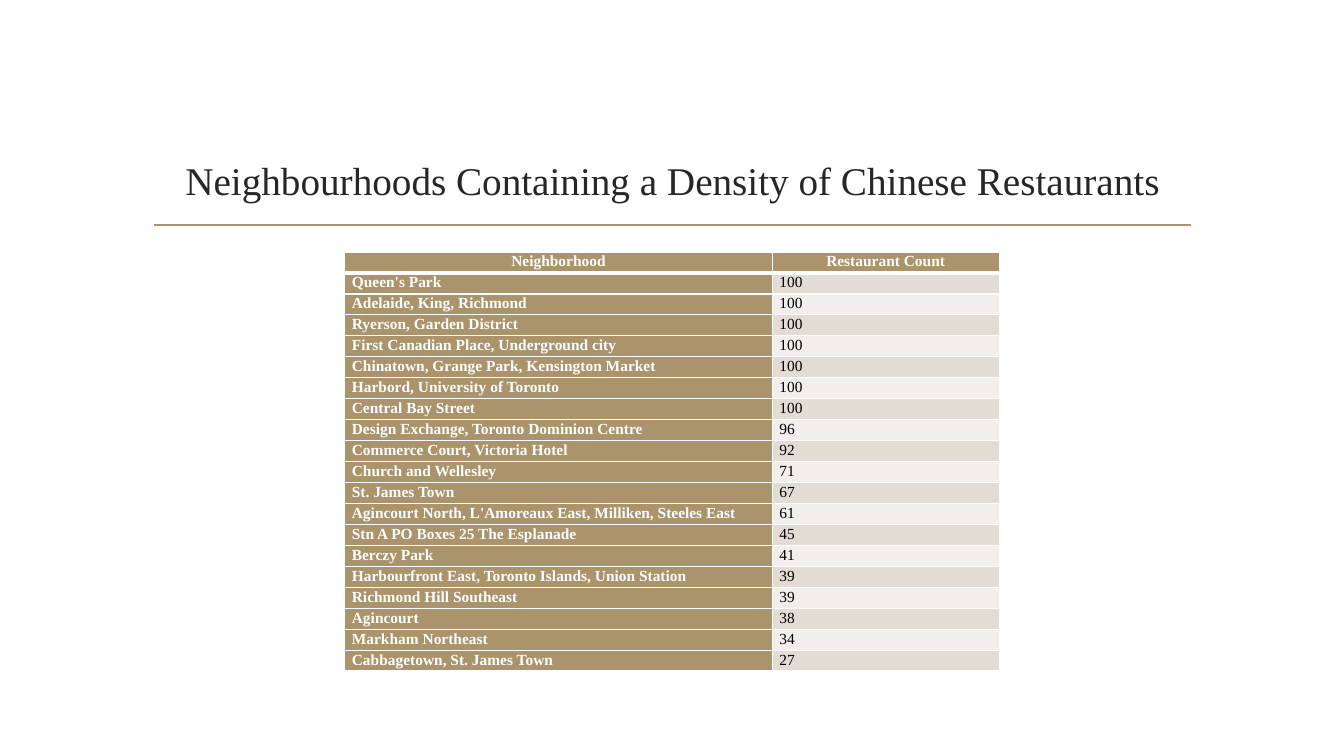
from lxml import etree
from pptx import Presentation
from pptx.dml.color import RGBColor
from pptx.enum.shapes import MSO_CONNECTOR
from pptx.enum.text import MSO_ANCHOR, MSO_AUTO_SIZE, PP_ALIGN
from pptx.oxml.ns import qn
from pptx.util import Emu, Pt

STRAIGHT = MSO_CONNECTOR.STRAIGHT
MIDDLE, TOP = MSO_ANCHOR.MIDDLE, MSO_ANCHOR.TOP
NO_AUTOFIT = MSO_AUTO_SIZE.NONE
LEFT, CENTER = PP_ALIGN.LEFT, PP_ALIGN.CENTER

TAN = RGBColor(0xAB, 0x94, 0x6B)
BAND_DARK = RGBColor(0xE2, 0xDC, 0xD4)
BAND_LIGHT = RGBColor(0xF1, 0xEE, 0xEB)
INK = RGBColor(0x26, 0x26, 0x26)
BLACK = RGBColor(0, 0, 0)
WHITE = RGBColor(0xFF, 0xFF, 0xFF)

PX = 9144
FONT = "Times New Roman"
TITLE_ONLY = 5

HEADER = ("Neighborhood", "Restaurant Count")
COUNTS = [
    ("Queen's Park", 100),
    ("Adelaide, King, Richmond", 100),
    ("Ryerson, Garden District", 100),
    ("First Canadian Place, Underground city", 100),
    ("Chinatown, Grange Park, Kensington Market", 100),
    ("Harbord, University of Toronto", 100),
    ("Central Bay Street", 100),
    ("Design Exchange, Toronto Dominion Centre", 96),
    ("Commerce Court, Victoria Hotel", 92),
    ("Church and Wellesley", 71),
    ("St. James Town", 67),
    ("Agincourt North, L'Amoreaux East, Milliken, Steeles East", 61),
    ("Stn A PO Boxes 25 The Esplanade", 45),
    ("Berczy Park", 41),
    ("Harbourfront East, Toronto Islands, Union Station", 39),
    ("Richmond Hill Southeast", 39),
    ("Agincourt", 38),
    ("Markham Northeast", 34),
    ("Cabbagetown, St. James Town", 27),
]


def px(n):
    return Emu(round(n * PX))


class Deck:
    """Holds the presentation, its font and the current slide."""

    def __init__(self, width, height):
        self.prs = Presentation()
        self.prs.slide_width, self.prs.slide_height = px(width), px(height)
        self.s = self.prs.slides.add_slide(self.prs.slide_layouts[TITLE_ONLY])

    def run(self, p, text, size, color, bold=False):
        r = p.add_run()
        r.text = text
        r.font.name, r.font.size, r.font.bold = FONT, Pt(size), bold
        r.font.color.rgb = color

    def title(self, text, x, y, w, h):
        sp = self.s.shapes.title
        sp.left, sp.top, sp.width, sp.height = map(px, (x, y, w, h))
        tf = sp.text_frame
        tf.word_wrap, tf.auto_size = True, NO_AUTOFIT
        tf.vertical_anchor = MIDDLE
        p = tf.paragraphs[0]
        p.alignment = CENTER
        self.run(p, text, 28, INK)

    def rule(self, x1, x2, y):
        line = self.s.shapes.add_connector(STRAIGHT, px(x1), px(y), px(x2), px(y))
        line.line.color.rgb, line.line.width = TAN, Pt(1.25)
        etree.SubElement(line._element.spPr, qn("a:effectLst"))

    def borders(self, cell, top, bottom):
        tc_pr = cell._tc.get_or_add_tcPr()
        widths = {"a:lnL": 1, "a:lnR": 1, "a:lnT": top, "a:lnB": bottom}
        for i, (side, width) in enumerate(widths.items()):
            ln = etree.Element(qn(side), w=str(Pt(width)))
            fill = etree.SubElement(ln, qn("a:solidFill"))
            etree.SubElement(fill, qn("a:srgbClr"), val=str(WHITE))
            tc_pr.insert(i, ln)

    def cell(self, cell, text, fill, color, bold, align):
        cell.fill.solid()
        cell.fill.fore_color.rgb = fill
        cell.margin_left = cell.margin_right = px(7)
        cell.margin_top = cell.margin_bottom = 0
        cell.vertical_anchor = TOP
        p = cell.text_frame.paragraphs[0]
        p.alignment, p.line_spacing = align, 1.07
        self.run(p, text, 11, color, bold)

    def table(self, rows, x, y, col_widths, h):
        frame = self.s.shapes.add_table(
            len(rows), len(col_widths), px(x), px(y), px(sum(col_widths)), px(h))
        table = frame.table
        table.first_col = True
        for col, width in zip(table.columns, col_widths):
            col.width = px(width)
        for i, values in enumerate(rows):
            table.rows[i].height = px(h / len(rows))
            band = BAND_DARK if i % 2 else BAND_LIGHT
            for j, value in enumerate(values):
                strong = i == 0 or j == 0
                cell = table.cell(i, j)
                self.cell(cell, str(value), TAN if strong else band,
                          WHITE if strong else BLACK, strong,
                          LEFT if i else CENTER)
                self.borders(cell, 3 if i == 1 else 1, 1 if i else 3)


def main():
    deck = Deck(1333, 750)
    deck.rule(153, 1181, 223)
    deck.title("Neighbourhoods Containing a Density of Chinese Restaurants",
               142, 107, 1050, 143)
    deck.table([HEADER, *COUNTS], 342, 250, (424, 225), 416)
    deck.prs.save("out.pptx")


if __name__ == "__main__":
    main()
